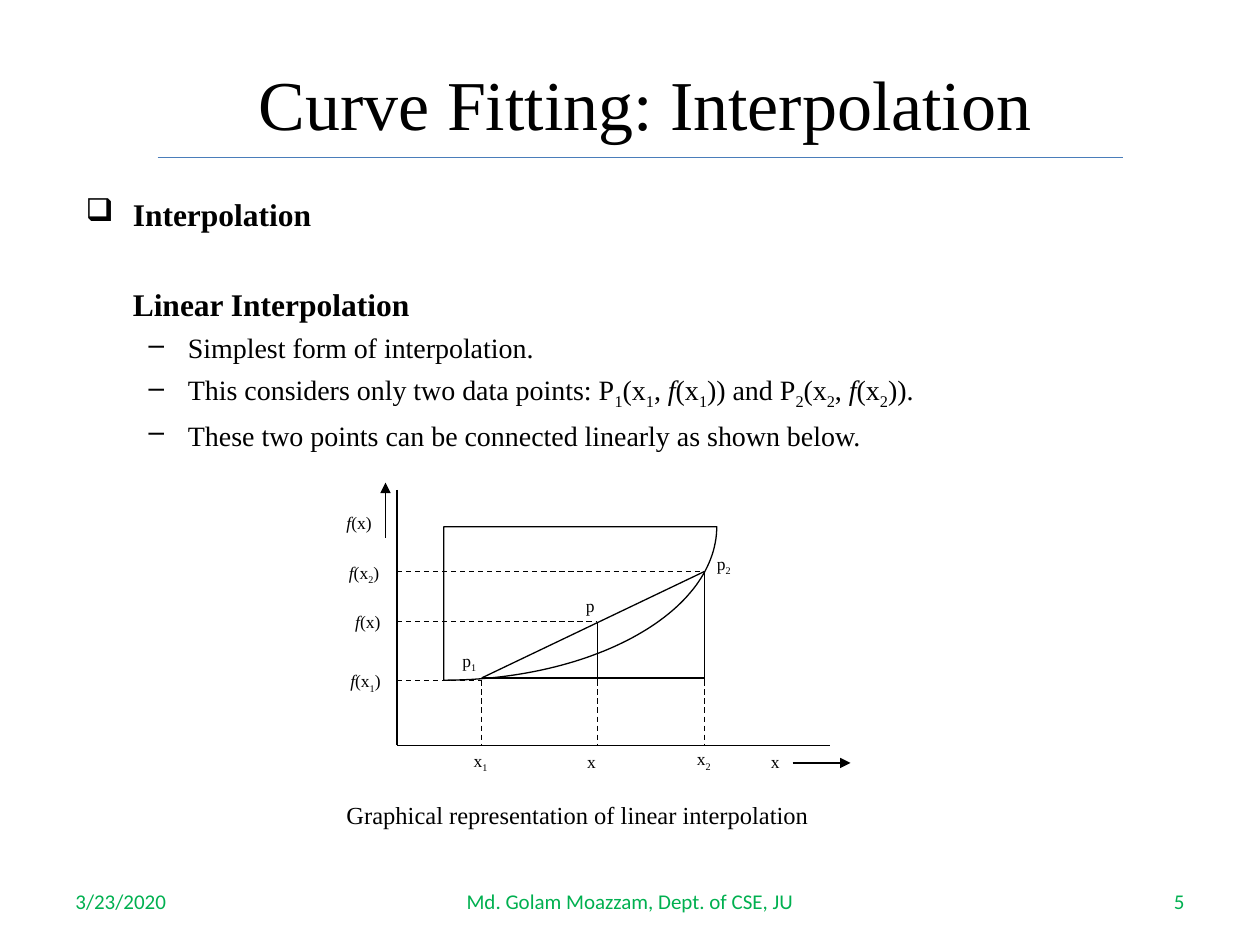
import math

from lxml import etree
from pptx import Presentation
from pptx import util as u
from pptx.dml.color import RGBColor
from pptx.enum import dml, shapes, text
from pptx.oxml.ns import qn

SERIF, SANS = "Times New Roman", "Calibri"
BLACK, GREEN, RULE_BLUE = "000000", "00B050", "4A7DBA"
LEFT, CENTER, RIGHT = text.PP_ALIGN.LEFT, text.PP_ALIGN.CENTER, text.PP_ALIGN.RIGHT


def color(hex_string):
    return RGBColor.from_string(hex_string)


def add_runs(paragraph, marked):
    """Add text in which _ lowers and ~ slants the character that follows."""
    plain = ""

    def flush():
        if plain:
            paragraph.add_run().text = plain

    chars = iter(marked)
    for char in chars:
        if char not in "_~":
            plain += char
            continue
        flush()
        plain = ""
        run = paragraph.add_run()
        run.text = next(chars)
        if char == "_":
            run.font._element.set("baseline", "-25000")
        else:
            run.font.italic = True
    flush()


def set_indent(paragraph, left, hanging=0, bullet=None):
    props = paragraph._p.get_or_add_pPr()
    props.set("marL", str(u.Pt(left)))
    props.set("indent", str(-u.Pt(hanging)))
    if bullet:
        mark = etree.Element(qn("a:buChar"), char=bullet)
        default_font = props.find(qn("a:defRPr"))
        if default_font is None:
            props.append(mark)
        else:
            default_font.addprevious(mark)


class SlideWriter:
    def __init__(self, slide, line_width=0.75):
        self.slide = slide
        self.line_width = u.Pt(line_width)

    def format(self, paragraph, size, font=SERIF, ink=BLACK, bold=False, align=LEFT):
        paragraph.alignment = align
        paragraph.font.size = u.Pt(size)
        paragraph.font.name = font
        paragraph.font.bold = bold
        paragraph.font.color.rgb = color(ink)

    def title(self, words, left, top, width, height):
        title = self.slide.shapes.title
        title.left, title.top = u.Pt(left), u.Pt(top)
        title.width, title.height = u.Pt(width), u.Pt(height)
        title.text_frame.text = words
        self.format(title.text_frame.paragraphs[0], 40, align=CENTER)

    def frame(self, left, top, width, height, inset=(0, 0)):
        box = self.slide.shapes.add_textbox(*map(u.Pt, (left, top, width, height)))
        frame = box.text_frame
        frame.word_wrap = True
        frame.margin_left = frame.margin_right = u.Pt(inset[0])
        frame.margin_top = frame.margin_bottom = u.Pt(inset[1])
        return frame

    def label(self, words, left, top, width=31, height=19, size=10):
        paragraph = self.frame(left, top, width, height).paragraphs[0]
        add_runs(paragraph, words)
        self.format(paragraph, size)

    def footer(self, words, left, width, align):
        frame = self.frame(left, 500.4, width, 28.8, inset=(7.2, 3.6))
        frame.vertical_anchor = text.MSO_ANCHOR.MIDDLE
        add_runs(frame.paragraphs[0], words)
        self.format(frame.paragraphs[0], 12, SANS, GREEN, align=align)

    def outline(self, points, left, top, width, height):
        """Draw body text: (words, size, bold, space before, left, hanging, bullet)."""
        frame = self.frame(left, top, width, height, inset=(7.2, 3.6))
        for index, (words, size, bold, before, margin, hanging, bullet) in enumerate(points):
            paragraph = frame.add_paragraph() if index else frame.paragraphs[0]
            add_runs(paragraph, words)
            self.format(paragraph, size, bold=bold)
            paragraph.space_before = u.Pt(before)
            set_indent(paragraph, margin, hanging, bullet)

    def line(self, x1, y1, x2, y2, ink=BLACK, dashed=False, arrow=False):
        line = self.slide.shapes.add_connector(
            shapes.MSO_CONNECTOR.STRAIGHT, *map(u.Pt, (x1, y1, x2, y2)))
        line.line.width = self.line_width
        line.line.color.rgb = color(ink)
        if dashed:
            line.line.dash_style = dml.MSO_LINE.DASH
        if arrow:
            etree.SubElement(line.line._get_or_add_ln(), qn("a:tailEnd"), type="triangle")
        etree.SubElement(line._element.spPr, qn("a:effectLst"))

    def quarter_ellipse(self, left, top, width, height, steps=60):
        """Draw the closed lower right quarter of an ellipse centred at left, top."""
        angles = [math.pi / 2 * step / steps for step in range(steps + 1)]
        arc = [(u.Pt(left + width * math.sin(a)), u.Pt(top + height * math.cos(a)))
               for a in angles]
        builder = self.slide.shapes.build_freeform(*arc[0])
        builder.add_line_segments(arc[1:] + [(u.Pt(left), u.Pt(top))], close=True)
        sector = builder.convert_to_shape()
        sector.shadow.inherit = False
        sector.fill.background()
        sector.line.width = self.line_width
        sector.line.color.rgb = color(BLACK)


def draw_graph(writer):
    axis_x, axis_y = 226.8, 426
    x1, x, x2 = 275.3, 341.3, 402.5
    fx1, fx, fx2 = 388.8, 355.2, 326.6
    chord_base = 387.4

    writer.line(axis_x, 280, axis_x, axis_y)
    writer.line(axis_x, axis_y, 474.5, axis_y)
    writer.quarter_ellipse(253.6, 301, 156, 87.7)
    writer.line(x1, chord_base, x2, fx2)
    writer.line(x1, chord_base, x2, chord_base)
    writer.line(x, fx, x, fx1)
    writer.line(x2, fx2, x2, fx1)
    for drop in (x1, x, x2):
        writer.line(drop, fx1, drop, axis_y, dashed=True)
    for level, end in ((fx1, x1), (fx, x), (fx2, x2)):
        writer.line(axis_x, level, end, level, dashed=True)
    writer.line(220.3, 307.4, 220.3, 275.8, arrow=True)
    writer.line(452.9, 436, 486, 436, arrow=True)

    for words, left, top in (
            ("x_1", 270.7, 428.4), ("x", 335.5, 429.1), ("x_2", 398.2, 427.7),
            ("x", 440.6, 429.1), ("p_1", 264.2, 371.5), ("p_2", 409.7, 316.1),
            ("p", 334.8, 339.8), ("~f(x)", 198, 292.3), ("~f(x_2)", 199.4, 321.1),
            ("~f(x)", 203, 349.2), ("~f(x_1)", 200.2, 383)):
        writer.label(words, left, top)
    writer.label("Graphical representation of linear interpolation",
                 198, 457.2, 266.4, 17.3, size=14)


def main():
    deck = Presentation()
    deck.slide_width, deck.slide_height = u.Pt(720), u.Pt(540)
    writer = SlideWriter(deck.slides.add_slide(deck.slide_layouts[5]))

    writer.title("Curve Fitting: Interpolation", 95.8, 27.4, 545.8, 62.6)
    writer.line(90, 90, 642, 90, ink=RULE_BLUE)
    details = ("Simplest form of interpolation.",
               "This considers only two data points: "
               "P_1(x_1, ~f(x_1)) and P_2(x_2, ~f(x_2)).",
               "These two points can be connected linearly as shown below.")
    writer.outline(
        [("Interpolation", 18, True, 0, 27, 27, "❑"),
         ("Linear Interpolation", 18, True, 30, 27, 0, None)]
        + [(words, 16, False, 4.4, 58.5, 22.5, "–") for words in details],
        41.8, 108, 648, 378)
    draw_graph(writer)

    writer.footer("3/23/2020", 36, 168, LEFT)
    writer.footer("Md. Golam Moazzam, Dept. of CSE, JU", 246, 228, CENTER)
    writer.footer("5", 516, 168, RIGHT)
    deck.save("out.pptx")


if __name__ == "__main__":
    main()
